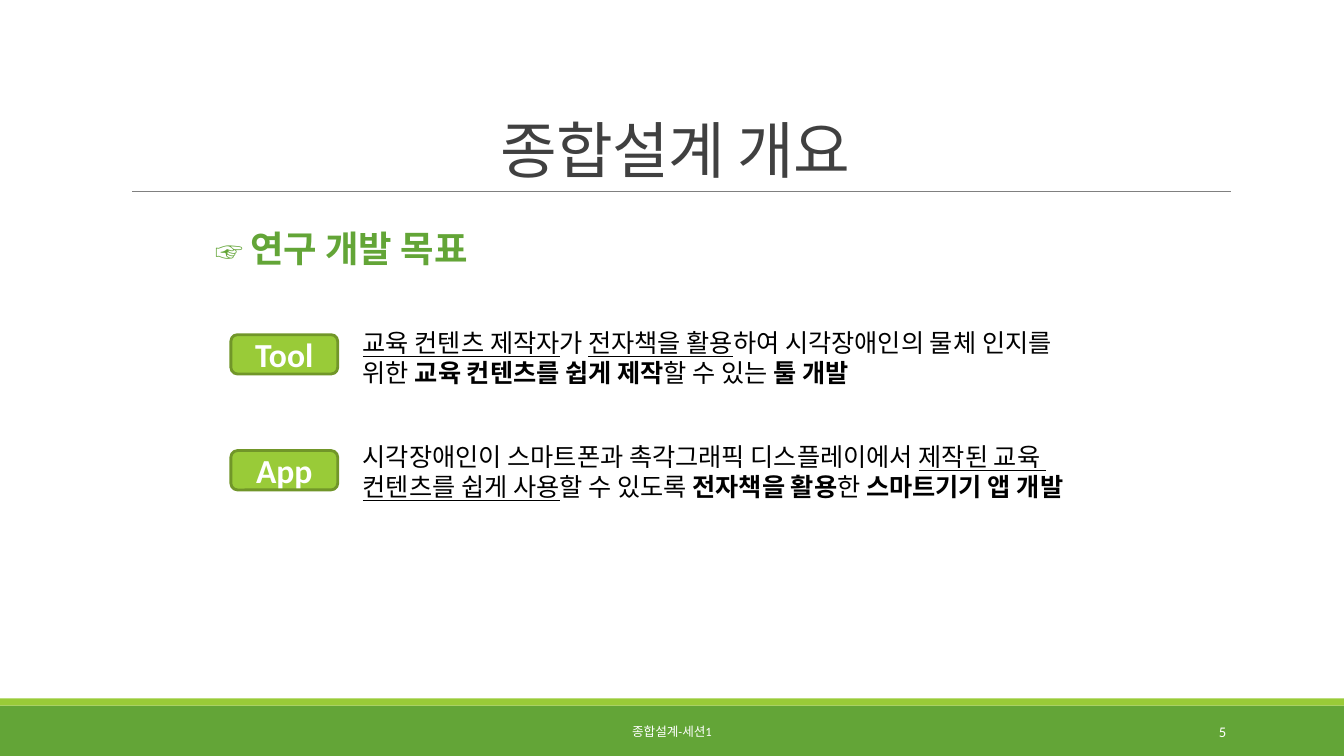
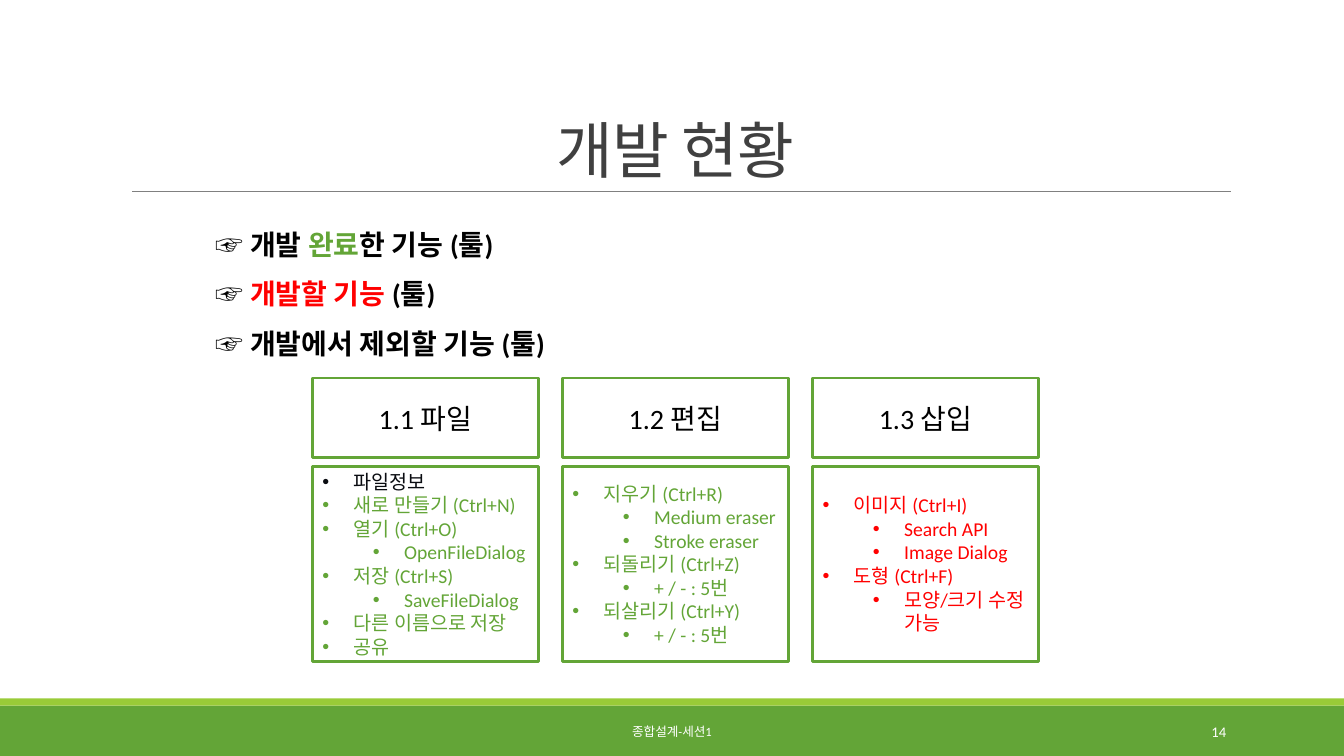
from lxml.etree import SubElement
from pptx import Presentation
from pptx.dml.color import RGBColor
from pptx.enum.shapes import MSO_CONNECTOR as Connector, MSO_SHAPE as Shape
from pptx.enum.text import MSO_ANCHOR as Anchor, MSO_AUTO_SIZE as AutoSize, PP_ALIGN as Align
from pptx.oxml.ns import qn
from pptx.util import Inches, Pt

# Shared style
GREEN, LIME, DARK_LIME = "63A537", "99CB38", "719629"
BLACK, WHITE, RED = "000000", "FFFFFF", "FF0000"
INK, TITLE_GRAY, RULE_GRAY = "0A0C11", "404040", "808080"
LATIN, KOREAN = "Calibri", "Noto Sans CJK KR"
FOOTER = "종합설계-세션1"


def color(value):
    return RGBColor.from_string(value)


def inches(*lengths):
    return [Inches(length) for length in lengths]


# Text
def add_span(para, text, size=18, ink=BLACK, font=LATIN, bold=False, underline=False, tracking=None):
    span = para.add_run()
    span.text = text
    span.font.size = Pt(size)
    span.font.bold = bold
    span.font.underline = underline
    span.font.color.rgb = color(ink)
    span.font.name = font
    properties = span.font._element
    SubElement(properties, qn("a:ea"), typeface=KOREAN)
    if tracking is not None:
        properties.set("spc", str(round(tracking * 100)))


def write_para(para, spans, align=Align.LEFT, indent=0, hanging=0, bullet=None,
               line=None, before=0, after=0, **style):
    """Fill a paragraph with a string or with (text, overrides) pairs."""
    para.alignment = align
    para.space_before, para.space_after = Pt(before), Pt(after)
    if line:
        para.line_spacing = line
    properties = para._p.get_or_add_pPr()
    properties.set("marL", str(Inches(indent)))
    properties.set("indent", str(Inches(-hanging)))
    if bullet:
        SubElement(properties, qn("a:buFont"), typeface="Arial")
        SubElement(properties, qn("a:buChar"), char=bullet)
    else:
        SubElement(properties, qn("a:buNone"))
    if isinstance(spans, str):
        spans = [(spans, {})]
    for text, overrides in spans:
        add_span(para, text, **{**style, **overrides})


def next_para(frame, index):
    return frame.paragraphs[0] if index == 0 else frame.add_paragraph()


def add_text(slide, place, lines, anchor=Anchor.TOP, **style):
    frame = slide.shapes.add_textbox(*inches(*place)).text_frame
    frame.word_wrap = True
    frame.vertical_anchor = anchor
    for index, line in enumerate(lines):
        write_para(next_para(frame, index), line, **style)


# Shapes
def add_box(slide, place, fill, outline=None, kind=Shape.RECTANGLE):
    box = slide.shapes.add_shape(kind, *inches(*place))
    box.shadow.inherit = False
    box.fill.solid()
    box.fill.fore_color.rgb = color(fill)
    if outline:
        box.line.color.rgb = color(outline)
        box.line.width = Pt(2)
    else:
        box.line.fill.background()
    box.text_frame.word_wrap = True
    box.text_frame.vertical_anchor = Anchor.MIDDLE
    return box


def add_label(slide, place, text, fill, outline, kind=Shape.RECTANGLE, **style):
    box = add_box(slide, place, fill, outline, kind)
    write_para(box.text_frame.paragraphs[0], text, align=Align.CENTER, **style)


def add_bullet_box(slide, place, items, ink):
    """Items are (level, text) with an optional colour."""
    frame = add_box(slide, place, WHITE, GREEN).text_frame
    for index, (level, text, *tint) in enumerate(items):
        write_para(next_para(frame, index), text, indent=0.31 + level * 0.5, hanging=0.31,
                   bullet="•", size=14, ink=tint[0] if tint else ink)


def add_rule(slide, left, right, top):
    rule = slide.shapes.add_connector(Connector.STRAIGHT, *inches(left, top, right, top))
    rule.line.color.rgb = color(RULE_GRAY)
    rule.line.width = Pt(0.5)
    SubElement(rule._element.spPr, qn("a:effectLst"))


# Slide parts
def place_placeholder(holder, place):
    holder.left, holder.top, holder.width, holder.height = inches(*place)


def set_up_layout(deck):
    layout = deck.slide_layouts[1]
    place_placeholder(layout.placeholders[0], (1.2, 0.31, 11, 1.59))
    place_placeholder(layout.placeholders[1], (2.14, 2.24, 9.32, 4.4))
    return layout


def add_slide(deck, layout, title, number, headings):
    slide = deck.slides.add_slide(layout)
    add_box(slide, (0, 7, 13.33, 0.5), GREEN)
    add_box(slide, (0, 6.93, 13.33, 0.07), LIME)
    add_rule(slide, 1.31, 12.21, 1.9)

    frame = slide.shapes.title.text_frame
    frame.auto_size = AutoSize.NONE
    frame.vertical_anchor = Anchor.BOTTOM
    write_para(frame.paragraphs[0], title, align=Align.CENTER, line=0.85,
               size=44, ink=TITLE_GRAY, tracking=-0.5)

    body = slide.placeholders[1].text_frame
    body.auto_size = AutoSize.NONE
    body.margin_left = body.margin_right = 0
    for index, (pointer_ink, spans) in enumerate(headings):
        pointer = ("☞ ", {"font": KOREAN, "ink": pointer_ink})
        write_para(next_para(body, index), [pointer, *spans], line=0.9,
                   before=12, after=2, size=20, bold=True)

    footer = {"anchor": Anchor.MIDDLE, "ink": WHITE}
    add_text(slide, (4.03, 7.06, 5.27, 0.4), [FOOTER], align=Align.CENTER, size=9, **footer)
    add_text(slide, (10.83, 7.06, 1.43, 0.4), [number], align=Align.RIGHT, size=10.5, **footer)
    return slide


# Slide content
def add_overview(deck, layout):
    slide = add_slide(deck, layout, "종합설계 개요", "5",
                      [(GREEN, [("연구 개발 목표", {"size": 26, "ink": GREEN})])])
    plain, strong, marked = {}, {"bold": True}, {"underline": True}
    goals = [
        ("Tool", 3.32, 3.2, [
            [("교육 컨텐츠 제작자", marked), ("가 ", plain), ("전자책을 활용", marked),
             ("하여 시각장애인의 물체 인지를", plain)],
            [("위한 ", plain), ("교육 컨텐츠를 쉽게 제작", strong), ("할 수 있는 ", plain),
             ("툴 개발", strong)],
        ]),
        ("App", 4.47, 4.33, [
            [("시각장애인이 스마트폰과 촉각그래픽 디스플레이에서 ", plain), ("제작된 교육 ", marked)],
            [("컨텐츠를 쉽게 사용", marked), ("할 수 있도록 ", plain), ("전자책을 활용", strong),
             ("한", plain), (" 스마트기기 앱 개발", strong)],
        ]),
    ]
    for name, label_top, text_top, lines in goals:
        add_label(slide, (2.29, label_top, 1.06, 0.39), name, LIME, DARK_LIME,
                  Shape.ROUNDED_RECTANGLE, size=24, ink=WHITE, bold=True)
        add_text(slide, (3.28, text_top, 8, 0.71), lines, indent=0.22)


def add_status(deck, layout):
    headings = [
        (BLACK, [("개발 ", {}), ("완료", {"ink": GREEN}), ("한 기능 (툴)", {})]),
        (BLACK, [("개발할 기능 ", {"ink": RED}), ("(툴)", {})]),
        (BLACK, [("개발에서 제외할 기능 (툴)", {})]),
    ]
    slide = add_slide(deck, layout, "개발 현황", "14", headings)
    menus = [
        ("1.1 파일", GREEN, [
            (0, "파일정보", INK), (0, "새로 만들기 (Ctrl+N)"),
            (0, "열기 (Ctrl+O)"), (1, "OpenFileDialog"),
            (0, "저장 (Ctrl+S)"), (1, "SaveFileDialog"),
            (0, "다른 이름으로 저장"), (0, "공유")]),
        ("1.2 편집", GREEN, [
            (0, "지우기 (Ctrl+R)"), (1, "Medium eraser"), (1, "Stroke eraser"),
            (0, "되돌리기 (Ctrl+Z)"), (1, "+ / - : 5번"),
            (0, "되살리기 (Ctrl+Y)"), (1, "+ / - : 5번")]),
        ("1.3 삽입", RED, [
            (0, "이미지 (Ctrl+I)"), (1, "Search API"), (1, "Image Dialog"),
            (0, "도형 (Ctrl+F)"), (1, "모양/크기 수정 가능")]),
    ]
    width, gap = 2.24, 0.24
    for column, (name, ink, items) in enumerate(menus):
        left = 3.1 + column * (width + gap)
        add_label(slide, (left, 3.75, width, 0.79), name, WHITE, GREEN, size=20)
        add_bullet_box(slide, (left, 4.63, width, 1.93), items, ink)


def main():
    deck = Presentation()
    deck.slide_width, deck.slide_height = inches(13.33, 7.5)
    layout = set_up_layout(deck)
    add_overview(deck, layout)
    add_status(deck, layout)
    deck.save("out.pptx")


if __name__ == "__main__":
    main()
